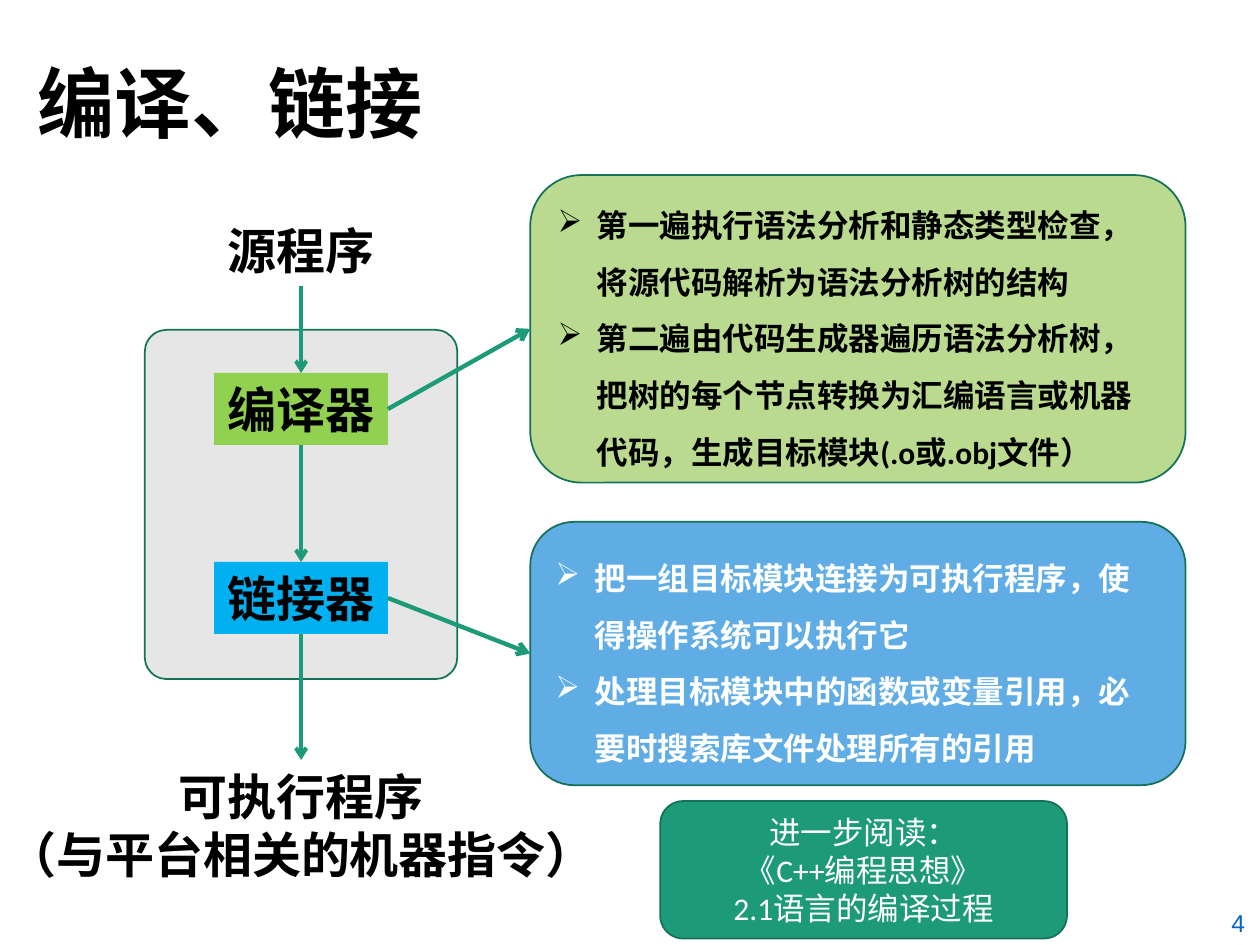
from dataclasses import dataclass
from typing import Optional

from lxml.etree import SubElement
from pptx import Presentation
from pptx.dml.color import RGBColor
from pptx.enum.shapes import MSO_CONNECTOR, MSO_SHAPE
from pptx.enum.text import MSO_ANCHOR, MSO_AUTO_SIZE, PP_ALIGN
from pptx.oxml.ns import qn
from pptx.util import Cm, Pt

BLACK = RGBColor(0x00, 0x00, 0x00)
WHITE = RGBColor(0xFF, 0xFF, 0xFF)
GREY = RGBColor(0xE7, 0xE6, 0xE6)
LIME = RGBColor(0x92, 0xD0, 0x50)
SKY = RGBColor(0x00, 0xB0, 0xF0)
PALE_GREEN = RGBColor(0xB9, 0xDA, 0x8F)
BLUE = RGBColor(0x5F, 0xAD, 0xE4)
TEAL = RGBColor(0x1D, 0x9A, 0x78)
DARK_TEAL = RGBColor(0x15, 0x72, 0x59)
LINK_BLUE = RGBColor(0x05, 0x63, 0xC1)


@dataclass
class Area:
    """Left, top, width and height in centimetres."""
    left: float
    top: float
    width: float
    height: float

    def lengths(self):
        return Cm(self.left), Cm(self.top), Cm(self.width), Cm(self.height)


@dataclass
class Style:
    size: float
    color: RGBColor = BLACK
    bold: bool = True
    font: str = "Calibri"
    align: PP_ALIGN = PP_ALIGN.LEFT
    anchor: MSO_ANCHOR = MSO_ANCHOR.MIDDLE
    wrap: bool = True
    spacing: Optional[float] = None
    bullet: Optional[str] = None


@dataclass
class Panel:
    area: Area
    fill: RGBColor
    style: Style
    lines: list[str]


@dataclass
class Stage:
    area: Area
    text: str
    fill: Optional[RGBColor] = None


STAGE_STYLE = Style(28, align=PP_ALIGN.CENTER, anchor=MSO_ANCHOR.TOP, wrap=False)
STAGES = [
    Stage(Area(4.32, 4.32, 3.5, 1.45), "源程序"),
    Stage(Area(4.32, 7.52, 3.5, 1.45), "编译器", LIME),
    Stage(Area(4.32, 11.33, 3.5, 1.45), "链接器", SKY),
    Stage(Area(-0.18, 15.32, 12.5, 2.64), "可执行程序\n（与平台相关的机器指令）"),
]

COMPILER_NOTES = Panel(
    Area(10.69, 3.53, 13.21, 6.2), PALE_GREEN,
    Style(18, spacing=1.5, bullet="➢"),
    ["第一遍执行语法分析和静态类型检查，将源代码解析为语法分析树的结构",
     "第二遍由代码生成器遍历语法分析树，把树的每个节点转换为汇编语言或机器代码，"
     "生成目标模块(.o或.obj文件）"],
)
LINKER_NOTES = Panel(
    Area(10.69, 10.52, 13.21, 5.31), BLUE,
    Style(18, WHITE, spacing=1.5, bullet="➢"),
    ["把一组目标模块连接为可执行程序，使得操作系统可以执行它",
     "处理目标模块中的函数或变量引用，必要时搜索库文件处理所有的引用"],
)
READING = Panel(
    Area(13.31, 16.15, 8.2, 2.77), TEAL,
    Style(18, WHITE, bold=False, align=PP_ALIGN.CENTER),
    ["进一步阅读：", "《C++编程思想》", "2.1语言的编译过程"],
)


def add_bullet(para, symbol: str) -> None:
    indent = Cm(0.79)
    properties = para._p.get_or_add_pPr()
    properties.set("marL", str(indent))
    properties.set("indent", str(-indent))
    bullet = SubElement(properties, qn("a:buChar"))
    bullet.set("char", symbol)
    # The bullet must come before the default run properties.
    properties.find(qn("a:defRPr")).addprevious(bullet)


def write_text(shape, lines: list[str], style: Style) -> None:
    frame = shape.text_frame
    frame.word_wrap = style.wrap
    frame.vertical_anchor = style.anchor
    if not style.wrap:
        frame.auto_size = MSO_AUTO_SIZE.SHAPE_TO_FIT_TEXT
    for index, line in enumerate(lines):
        para = frame.add_paragraph() if index else frame.paragraphs[0]
        para.text = line
        para.alignment = style.align
        if style.spacing:
            para.line_spacing = style.spacing
        font = para.font
        font.name, font.size, font.bold = style.font, Pt(style.size), style.bold
        font.color.rgb = style.color
        if style.bullet:
            add_bullet(para, style.bullet)


def add_label(page, area: Area, lines: list[str], style: Style):
    box = page.shapes.add_textbox(*area.lengths())
    write_text(box, lines, style)
    return box


def add_rounded(page, area: Area, fill: RGBColor):
    box = page.shapes.add_shape(MSO_SHAPE.ROUNDED_RECTANGLE, *area.lengths())
    box.shadow.inherit = False
    box.fill.solid()
    box.fill.fore_color.rgb = fill
    box.line.color.rgb = DARK_TEAL
    box.line.width = Pt(1)
    return box


def add_panel(page, panel: Panel):
    box = add_rounded(page, panel.area, panel.fill)
    write_text(box, panel.lines, panel.style)
    return box


def add_stage(page, stage: Stage):
    box = add_label(page, stage.area, [stage.text], STAGE_STYLE)
    if stage.fill is not None:
        box.fill.solid()
        box.fill.fore_color.rgb = stage.fill
    return box


def add_arrow(page, start, start_side: int, end, end_side: int, width: float) -> None:
    arrow = page.shapes.add_connector(MSO_CONNECTOR.STRAIGHT, 0, 0, 0, 0)
    arrow.begin_connect(start, start_side)
    arrow.end_connect(end, end_side)
    arrow.line.color.rgb = TEAL
    arrow.line.width = Pt(width)
    SubElement(arrow.line._get_or_add_ln(), qn("a:tailEnd")).set("type", "arrow")
    SubElement(arrow._element.spPr, qn("a:effectLst"))


def main() -> None:
    deck = Presentation()
    deck.slide_width, deck.slide_height = Cm(25.4), Cm(19.05)
    page = deck.slides.add_slide(deck.slide_layouts[6])

    frame = add_rounded(page, Area(2.92, 6.65, 6.3, 7.04), GREY)
    frame.adjustments[0] = 0.07
    add_label(page, Area(0.51, 0.33, 21.89, 3.68), ["编译、链接"],
              Style(44, font="Noto Sans CJK SC", spacing=0.9))

    stages = [add_stage(page, stage) for stage in STAGES]
    for upper, lower in zip(stages, stages[1:]):
        add_arrow(page, upper, 2, lower, 0, 2.25)

    add_label(page, Area(19.43, 18.14, 5.92, 0.91), ["4"],
              Style(14, LINK_BLUE, bold=False, font="Arial", align=PP_ALIGN.RIGHT))
    add_panel(page, READING)
    for stage, notes in zip(stages[1:3], (COMPILER_NOTES, LINKER_NOTES)):
        add_arrow(page, stage, 3, add_panel(page, notes), 1, 2.5)

    deck.save("out.pptx")


if __name__ == "__main__":
    main()
